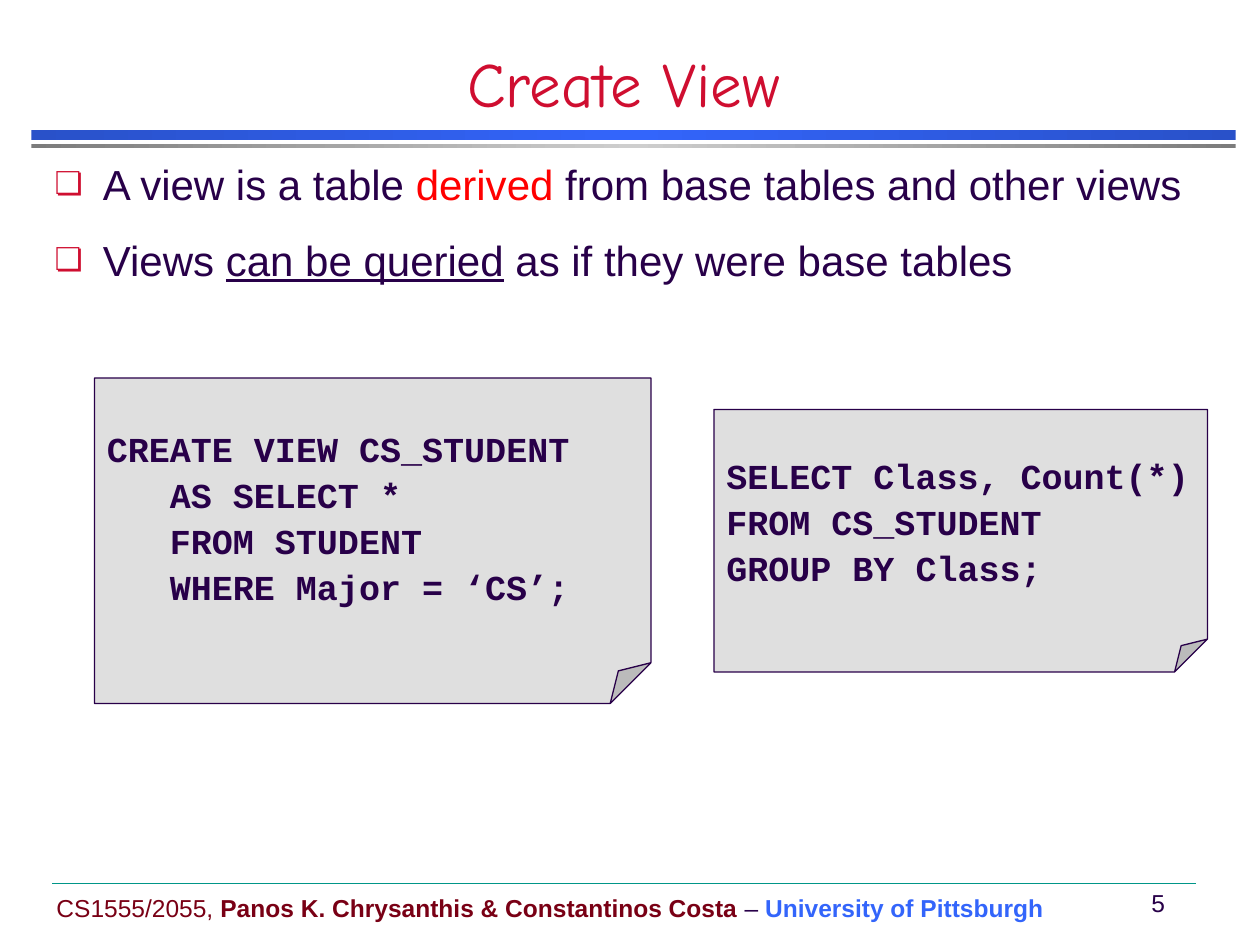
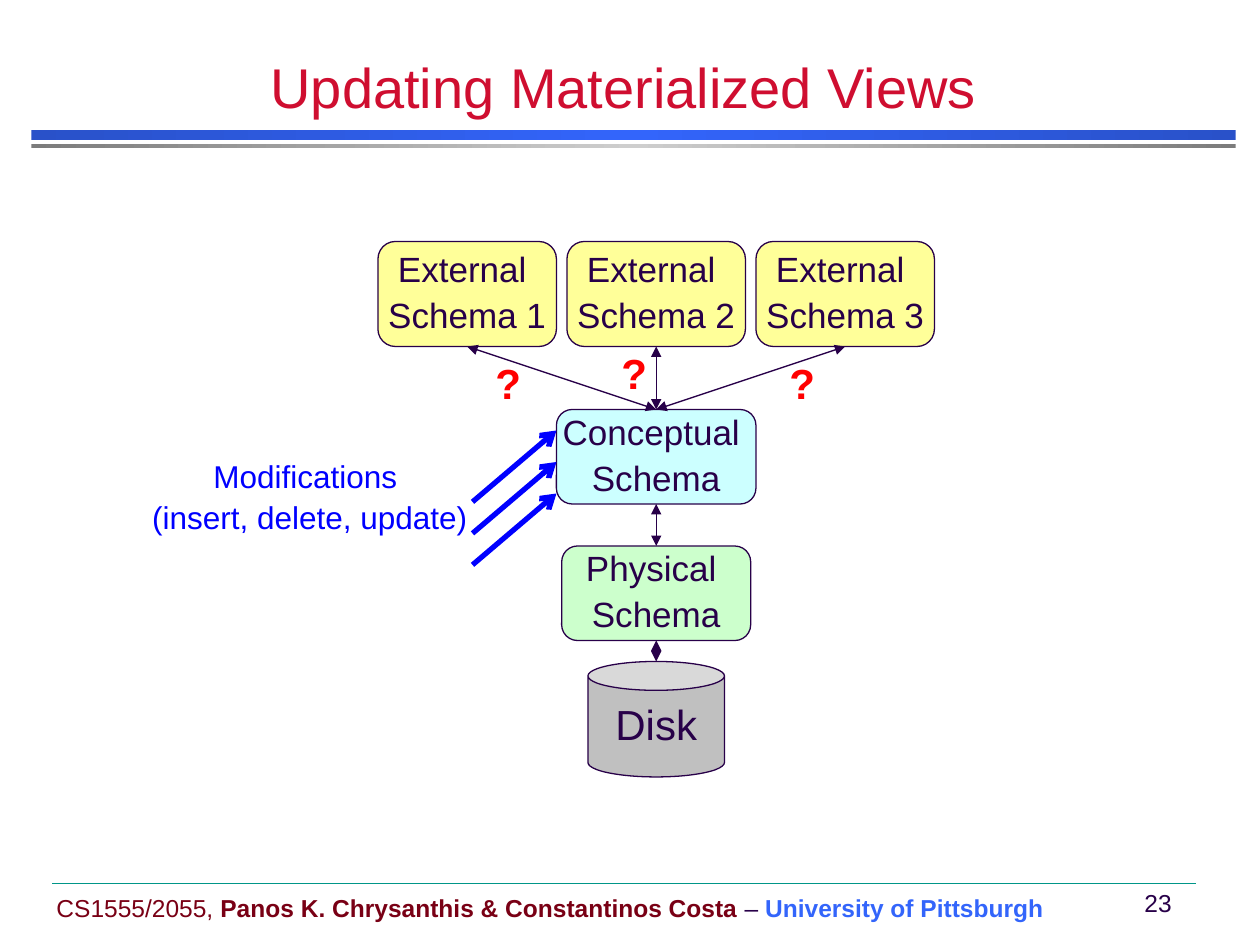
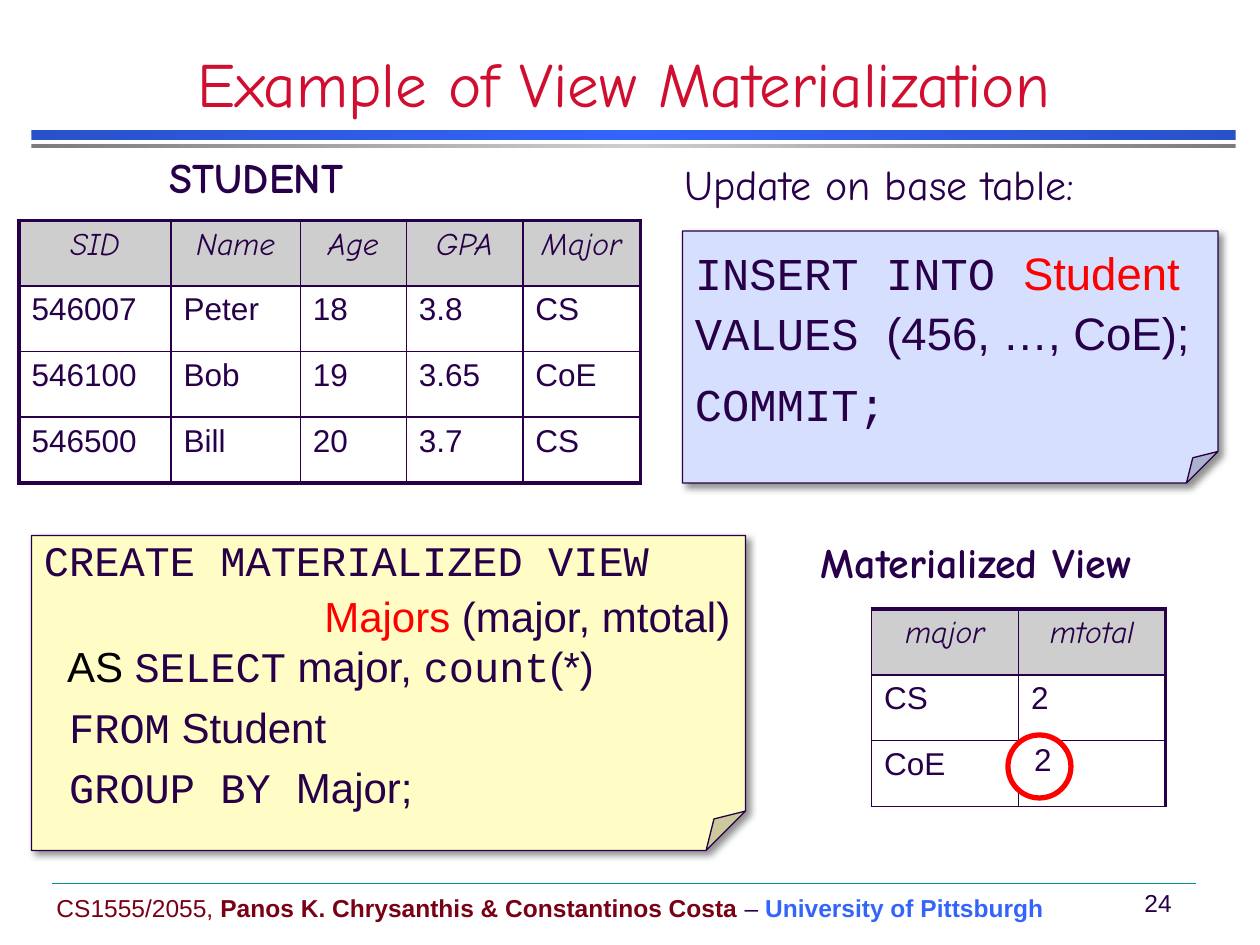
from copy import deepcopy
from dataclasses import dataclass
from typing import NamedTuple

from lxml import etree
from pptx import Presentation
from pptx.dml.color import RGBColor
from pptx.enum.shapes import MSO_CONNECTOR, MSO_SHAPE
from pptx.enum.text import MSO_ANCHOR, MSO_AUTO_SIZE, PP_ALIGN
from pptx.oxml.ns import qn
from pptx.util import Pt

PX = 7620

INK = RGBColor(0x28, 0x00, 0x49)
CRIMSON = RGBColor(0xCF, 0x0E, 0x30)
RED = RGBColor(0xFF, 0x00, 0x00)
BLUE = RGBColor(0x00, 0x00, 0xFF)
BLACK = RGBColor(0x00, 0x00, 0x00)
WHITE = RGBColor(0xFF, 0xFF, 0xFF)
MAROON = RGBColor(0x79, 0x00, 0x15)
TEAL = RGBColor(0x00, 0x96, 0x88)
BAND_BLUE = RGBColor(0x33, 0x65, 0xFB)
BAND_NAVY = RGBColor(0x29, 0x51, 0xC9)
BAND_GRAY = RGBColor(0x7C, 0x7C, 0x7C)
SILVER = RGBColor(0xCE, 0xCE, 0xCE)
GRAY = RGBColor(0xC0, 0xC0, 0xC0)
YELLOW = RGBColor(0xFF, 0xFF, 0x99)
AQUA = RGBColor(0xCC, 0xFF, 0xFF)
MINT = RGBColor(0xCC, 0xFF, 0xCC)
ICE = RGBColor(0xD6, 0xE0, 0xFE)
CREAM = RGBColor(0xFF, 0xFD, 0xC5)

ARIAL = "Arial"
COMIC = "Comic Neue"
MONO = "Courier New"

LEFT, CENTER = PP_ALIGN.LEFT, PP_ALIGN.CENTER
TOP, MIDDLE, BOTTOM = MSO_ANCHOR.TOP, MSO_ANCHOR.MIDDLE, MSO_ANCHOR.BOTTOM
NO_FIT = MSO_AUTO_SIZE.NONE
STRAIGHT = MSO_CONNECTOR.STRAIGHT
RECT, ROUND, OVAL = MSO_SHAPE.RECTANGLE, MSO_SHAPE.ROUNDED_RECTANGLE, MSO_SHAPE.OVAL
CAN, NOTE = MSO_SHAPE.CAN, MSO_SHAPE.FOLDED_CORNER
SIDE_TOP, SIDE_BOTTOM = 0, 2


class Box(NamedTuple):
    x: int
    y: int
    w: int
    h: int

    def emu(self) -> list[int]:
        return [v * PX for v in self]


@dataclass
class Run:
    text: str
    font: str = ARIAL
    color: RGBColor = INK
    bold: bool = False
    italic: bool = False
    underline: bool = False


@dataclass
class Para:
    runs: list[Run]
    size: int
    align: PP_ALIGN = LEFT
    before: float | None = None
    after: float = 0
    spacing: float = 0.9
    indent: int = 0
    bullet: str = ""


@dataclass
class Grid:
    x: int
    y: int
    h: int
    cols: list[int]
    rows: list[list[str]]
    thick: str


def assign(obj, **values) -> None:
    for name, value in values.items():
        setattr(obj, name, value)


def add_xml(parent, tag: str, **attrs):
    return etree.SubElement(parent, qn(tag), attrs)


def lines(texts: list[str], size: int, align: PP_ALIGN = LEFT, **style) -> list[Para]:
    return [Para([Run(text, **style)], size, align) for text in texts]


def write(tf, paras: list[Para], anchor: MSO_ANCHOR = TOP, wrap: bool = True) -> None:
    assign(tf, word_wrap=wrap, vertical_anchor=anchor, auto_size=NO_FIT)
    fill_text(tf, paras)


def fill_text(tf, paras: list[Para]) -> None:
    for i, para in enumerate(paras):
        p = tf.add_paragraph() if i else tf.paragraphs[0]
        before = para.size * 0.24 if para.before is None else para.before
        assign(p, alignment=para.align, line_spacing=para.spacing,
               space_before=Pt(before), space_after=Pt(para.after))
        if para.indent:
            hang = -para.indent * PX if para.bullet else 0
            pPr = p._p.get_or_add_pPr()
            pPr.set("marL", str(para.indent * PX))
            pPr.set("indent", str(hang))
            if para.bullet:
                add_xml(add_xml(pPr, "a:buClr"), "a:srgbClr", val=str(CRIMSON))
                add_xml(pPr, "a:buSzPct", val="75000")
                add_xml(pPr, "a:buChar", char=para.bullet)
        for run in para.runs:
            r = p.add_run()
            r.text = run.text
            assign(r.font, name=run.font, size=Pt(para.size), bold=run.bold,
                   italic=run.italic, underline=run.underline)
            r.font.color.rgb = run.color


def add_text(slide, box: Box, paras: list[Para], anchor: MSO_ANCHOR = TOP):
    sp = slide.shapes.add_textbox(*box.emu())
    write(sp.text_frame, paras, anchor)
    return sp


def add_block(slide, kind, box: Box, fill: RGBColor, paras: list[Para],
              line: RGBColor = INK, width: float = 0.75):
    sp = slide.shapes.add_shape(kind, *box.emu())
    sp.shadow.inherit = False
    sp.fill.solid()
    sp.fill.fore_color.rgb = fill
    sp.line.color.rgb = line
    sp.line.width = Pt(width)
    if paras:
        write(sp.text_frame, paras, MIDDLE, wrap=False)
    return sp


def add_note(slide, box: Box, fill: RGBColor, paras: list[Para],
             alpha: int = 100, shadow: bool = False) -> None:
    sp = add_block(slide, NOTE, box, fill, paras)
    spPr = sp._element.spPr
    guides = spPr.find(qn("a:prstGeom")).get_or_add_avLst()
    add_xml(guides, "a:gd", name="adj", fmla="val 12500")
    if alpha < 100:
        color = spPr.find(qn("a:solidFill")).find(qn("a:srgbClr"))
        add_xml(color, "a:alpha", val=str(alpha * 1000))
    if shadow:
        outer = add_xml(spPr.find(qn("a:effectLst")), "a:outerShdw", blurRad="50800",
                        dist="38100", dir="2700000", algn="tl", rotWithShape="0")
        color = add_xml(outer, "a:srgbClr", val=str(BLACK))
        add_xml(color, "a:alpha", val="43000")


def add_band(slide, box: Box, edge: RGBColor, middle: RGBColor) -> None:
    sp = slide.shapes.add_shape(RECT, *box.emu())
    sp.shadow.inherit = False
    sp.line.fill.background()
    sp.fill.gradient()
    sp.fill.gradient_angle = 0
    stops = sp._element.spPr.find(qn("a:gradFill")).find(qn("a:gsLst"))
    stops.append(deepcopy(stops[0]))
    for stop, color, position in zip(sp.fill.gradient_stops, (edge, middle, edge), (0, 0.5, 1)):
        stop.color.rgb = color
        stop.position = position


def add_line(slide, x1: int, y1: int, x2: int, y2: int, color: RGBColor = INK,
             width: float = 0.75, head: str = "", tail: str = ""):
    c = slide.shapes.add_connector(STRAIGHT, x1 * PX, y1 * PX, x2 * PX, y2 * PX)
    c.line.color.rgb = color
    c.line.width = Pt(width)
    spPr = c._element.spPr
    for tag, kind in (("a:headEnd", head), ("a:tailEnd", tail)):
        if kind:
            add_xml(spPr.find(qn("a:ln")), tag, type=kind)
    add_xml(spPr, "a:effectLst")
    return c


def add_link(slide, upper, lower, joined: bool = True) -> None:
    x1, x2 = ((sp.left + sp.width // 2) // PX for sp in (upper, lower))
    c = add_line(slide, x1, (upper.top + upper.height) // PX, x2, lower.top // PX,
                 head="triangle", tail="triangle")
    c.begin_connect(upper, SIDE_BOTTOM)
    if joined:
        c.end_connect(lower, SIDE_TOP)


def add_grid(slide, grid: Grid) -> None:
    box = Box(grid.x, grid.y, sum(grid.cols), grid.h)
    n_rows, n_cols = len(grid.rows), len(grid.cols)
    table = slide.shapes.add_table(n_rows, n_cols, *box.emu()).table
    assign(table, first_row=False, horz_banding=False)
    for column, width in zip(table.columns, grid.cols):
        column.width = width * PX
    for i, row in enumerate(grid.rows):
        for j, text in enumerate(row):
            cell = table.cell(i, j)
            outer = {"L": j == 0, "R": j == n_cols - 1, "T": i == 0, "B": i == n_rows - 1}
            tcPr = cell._tc.get_or_add_tcPr()
            for side, at_edge in outer.items():
                width = 2.25 if at_edge and side in grid.thick else 1
                ln = add_xml(tcPr, f"a:ln{side}", w=str(int(Pt(width))))
                add_xml(add_xml(ln, "a:solidFill"), "a:srgbClr", val=str(INK))
            if i == 0:
                cell.fill.solid()
                cell.fill.fore_color.rgb = SILVER
                para = Para([Run(text, COMIC, italic=True)], 18, CENTER)
            else:
                cell.fill.background()
                para = Para([Run(text)], 18)
            assign(para, after=3.2, spacing=1.0)
            if text:
                fill_text(cell.text_frame, [para])


def add_slide(prs, layout: int, title: str, number: int, font: str = COMIC, size: int = 36):
    slide = prs.slides.add_slide(prs.slide_layouts[layout])
    add_band(slide, Box(30, 124, 1147, 9), BAND_NAVY, BAND_BLUE)
    add_band(slide, Box(30, 137, 1147, 4), BAND_GRAY, SILVER)
    add_text(slide, Box(42, 844, 972, 40), [Para([
        Run("CS1555/2055, ", color=MAROON),
        Run("Panos K. Chrysanthis & Constantinos Costa", color=MAROON, bold=True),
        Run(" – "),
        Run("University of Pittsburgh", color=BAND_BLUE, bold=True),
    ], 14, before=0, spacing=1.0)], MIDDLE)
    add_text(slide, Box(1073, 840, 60, 40),
             [Para([Run(str(number))], 14, CENTER, before=0, spacing=1.0)], MIDDLE)
    add_line(slide, 50, 841, 1139, 841, TEAL, 0.25)
    sp = slide.shapes.title
    place(sp, Box(0, 50, 1188, 70))
    write(sp.text_frame, [Para([Run(title, font, CRIMSON)], size, CENTER, before=0, spacing=1.0)],
          BOTTOM)
    return slide


def place(sp, box: Box) -> None:
    assign(sp, **dict(zip(("left", "top", "width", "height"), box.emu())))


def build_create_view(prs) -> None:
    slide = add_slide(prs, 1, "Create View", 5)
    body = slide.placeholders[1]
    place(body, Box(40, 150, 1130, 680))
    bullet = {"size": 24, "indent": 46, "bullet": "❏"}
    write(body.text_frame, [
        Para([Run("A view is a table "), Run("derived", color=RED),
              Run(" from base tables and other views")], **bullet),
        Para([Run("Views "), Run("can be queried", underline=True),
              Run(" as if they were base tables")], before=17.5, **bullet),
    ])
    create = lines(["CREATE VIEW CS_STUDENT", "AS SELECT *", "FROM STUDENT",
                    "WHERE Major = ‘CS’;"], 20, font=MONO, bold=True)
    for para in create[1:]:
        para.indent = 60
    query = lines(["SELECT Class, Count(*)", "FROM CS_STUDENT", "GROUP BY Class;"],
                  20, font=MONO, bold=True)
    add_note(slide, Box(90, 360, 530, 310), GRAY, create, alpha=50)
    add_note(slide, Box(680, 390, 470, 250), GRAY, query, alpha=50)


def build_updating_views(prs) -> None:
    slide = add_slide(prs, 5, "Updating Materialized Views", 23, ARIAL, 32)
    disk = add_block(slide, CAN, Box(560, 630, 130, 110), GRAY, lines(["Disk"], 24, CENTER))
    conceptual = add_block(slide, ROUND, Box(530, 390, 190, 90), AQUA,
                           lines(["Conceptual ", "Schema"], 20, CENTER))
    physical = add_block(slide, ROUND, Box(535, 520, 180, 90), MINT,
                         lines(["Physical ", "Schema"], 20, CENTER))
    for i in range(3):
        external = add_block(slide, ROUND, Box(360 + 180 * i, 230, 170, 100), YELLOW,
                             lines(["External ", f"Schema {i + 1}"], 20, CENTER))
        add_link(slide, external, conceptual)
    add_link(slide, conceptual, physical)
    add_link(slide, physical, disk, joined=False)
    add_text(slide, Box(120, 433, 350, 85),
             lines(["Modifications ", "(insert, delete, update)"], 18, CENTER, color=BLUE))
    for x, y in ((460, 340), (740, 340), (580, 330)):
        add_text(slide, Box(x, y, 50, 61), lines(["?"], 24, color=RED, bold=True))
    for y in range(410, 471, 30):
        add_line(slide, 450, y + 68, 530, y, BLUE, 3, tail="arrow")


def build_materialization(prs) -> None:
    slide = add_slide(prs, 5, "Example of View Materialization", 24)
    add_note(slide, Box(650, 220, 510, 240), ICE, [
        Para([Run("INSERT INTO ", MONO), Run("Student", color=RED)], 26),
        Para([Run("VALUES ", MONO), Run("(456, …, CoE);")], 26),
        Para([Run("COMMIT;", MONO)], 26, before=12.2),
    ], shadow=True)
    add_text(slide, Box(640, 150, 450, 61), lines(["Update on base table:"], 24, font=COMIC))
    add_grid(slide, Grid(18, 210, 250, [145, 123, 101, 111, 112], [
        ["SID", "Name", "Age", "GPA", "Major"],
        ["546007", "Peter", "18", "3.8", "CS"],
        ["546100", "Bob", "19", "3.65", "CoE"],
        ["546500", "Bill", "20", "3.7", "CS"],
    ], "LRTB"))
    add_text(slide, Box(150, 144, 320, 56), lines(["STUDENT"], 24, font=COMIC, bold=True))
    add_note(slide, Box(30, 510, 680, 300), CREAM, [
        Para([Run("CREATE MATERIALIZED VIEW", MONO)], 24, before=9, spacing=1.0),
        Para([Run("Majors", color=RED), Run(" (major, mtotal)")], 24, before=3, spacing=1.0,
             indent=267),
        Para([Run("AS ", color=BLACK), Run("SELECT", MONO), Run(" major, "),
              Run("count", MONO), Run("(*)")], 24, before=0, spacing=1.0, indent=22),
        Para([Run("FROM", MONO), Run(" Student")], 24, spacing=1.0, indent=24),
        Para([Run("GROUP BY ", MONO), Run("Major;")], 24, spacing=1.0, indent=24),
    ], shadow=True)
    add_grid(slide, Grid(830, 580, 188, [140, 140],
                         [["major", "mtotal"], ["CS", "2"], ["CoE", ""]], "TR"))
    add_text(slide, Box(770, 510, 410, 56),
             lines(["Materialized View"], 24, font=COMIC, bold=True))
    add_block(slide, OVAL, Box(960, 700, 60, 60), WHITE, [], RED, 3)
    add_text(slide, Box(973, 703, 42, 46), lines(["2"], 18))


def main() -> None:
    prs = Presentation()
    assign(prs, slide_width=1200 * PX, slide_height=900 * PX)
    build_create_view(prs)
    build_updating_views(prs)
    build_materialization(prs)
    prs.save("out.pptx")


if __name__ == "__main__":
    main()
